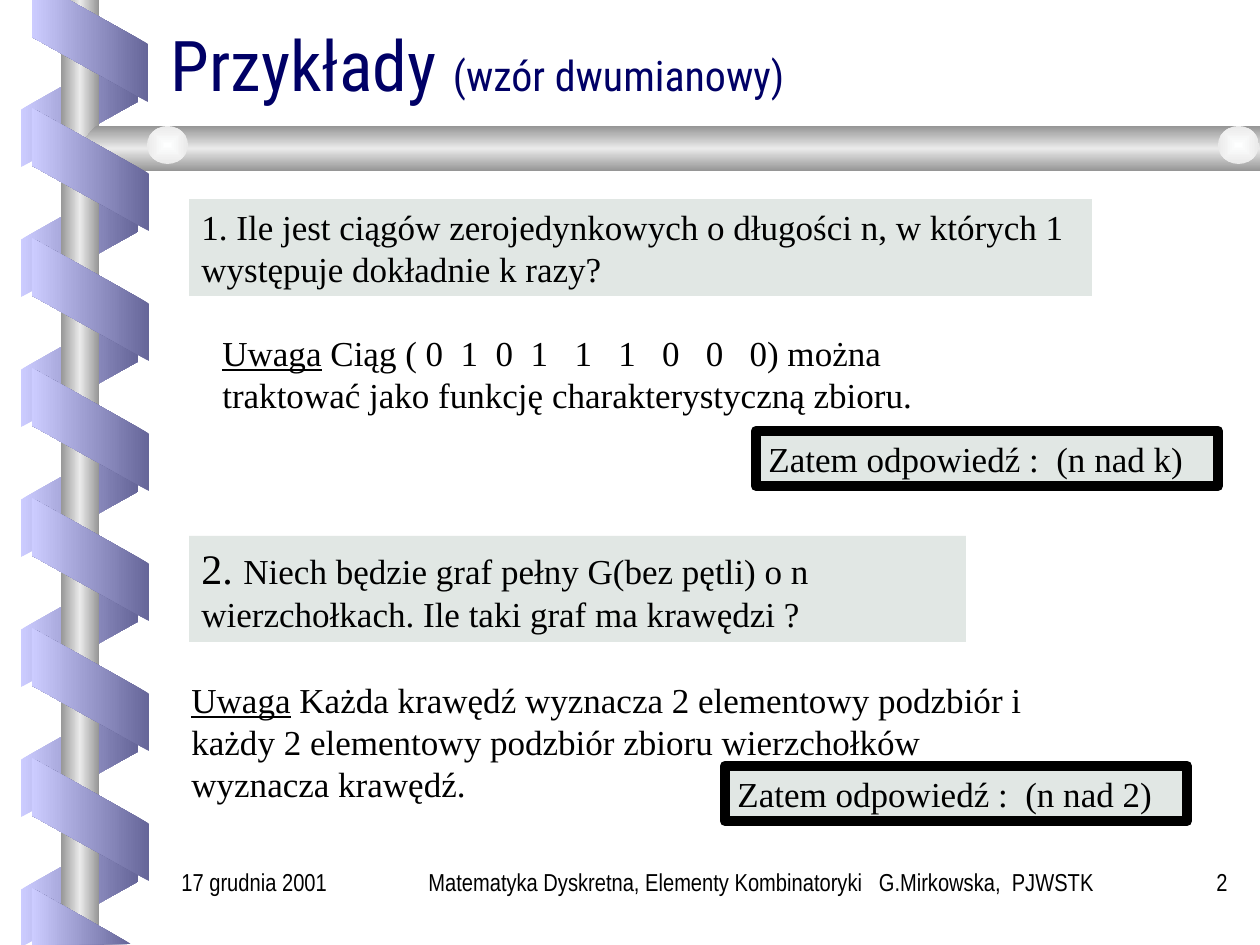
from dataclasses import dataclass

from pptx import Presentation
from pptx.dml.color import RGBColor
from pptx.enum import shapes, text
from pptx.oxml import parse_xml
from pptx.oxml.ns import nsdecls, qn
from pptx.util import Pt

PX = 914400 / 126  # EMU per px


@dataclass(frozen=True)
class Theme:
    title_font: str = "Roboto Condensed"
    body_font: str = "Times New Roman"
    footer_font: str = "Arial Narrow"
    navy: str = "000066"
    black: str = "000000"
    panel: str = "E1E7E4"
    ribbon: tuple = ("666699", "CCCCFF")
    steel: tuple = ("969696", "EAEAEA", "969696")
    pearl: tuple = ("FEFFFF", "EAEAEA")
    title: int = 40
    large: int = 24
    body: int = 20
    footer: int = 14
    frame: int = 6


T = Theme()


def px(*values):
    return [round(v * PX) for v in values]


def rgb(value):
    return RGBColor.from_string(value)


# Fills and decoration
def gradient(s, colors, angle=None):
    """Linear gradient at an angle in degrees, or one from the centre out."""
    last = len(colors) - 1
    stops = "".join(
        f'<a:gs pos="{100000 * i // last}"><a:srgbClr val="{c}"/></a:gs>'
        for i, c in enumerate(colors))
    if angle is None:
        way = ('<a:path path="rect"><a:fillToRect l="50000" t="50000" '
               'r="50000" b="50000"/></a:path>')
    else:
        way = f'<a:lin ang="{angle * 60000}" scaled="0"/>'
    s.shadow.inherit = False
    s.line.fill.background()
    s.fill.solid()
    sp_pr = s._element.spPr
    sp_pr.replace(sp_pr.find(qn("a:solidFill")), parse_xml(
        f'<a:gradFill rotWithShape="0" {nsdecls("a")}>'
        f'<a:gsLst>{stops}</a:gsLst>{way}</a:gradFill>'))


def preset(parent, kind, box, colors, angle=None):
    s = parent.shapes.add_shape(kind, *px(*box))
    gradient(s, colors, angle)
    return s


def outline(parent, points, colors, angle):
    builder = parent.shapes.build_freeform(*points[0], scale=PX)
    builder.add_line_segments(points[1:], close=True)
    gradient(builder.convert_to_shape(), colors, angle)


def ribbons(parent, left, top, count, rotation, colors, flip=False):
    for i in range(count):
        s = preset(parent, shapes.MSO_SHAPE.PARALLELOGRAM,
                   (left, top + 130 * i, 123, 117), colors, 180)
        s.adjustments[0] = 0.56
        s.rotation = rotation
        if flip:
            s._element.spPr.xfrm.set("flipH", "1")


def decoration(slide):
    # Ribbon turns behind the pole
    back = slide.shapes.add_group_shape()
    ribbons(back, 18, 47, 7, 90, T.ribbon[::-1], flip=True)

    # Pole, rail and its two knobs
    preset(slide, shapes.MSO_SHAPE.RECTANGLE, (61, 0, 38, 945), T.steel, 180)
    outline(slide, [(1260, 126), (96, 126), (76, 149), (96, 171), (1260, 171)],
            T.steel, 90)
    for left in (147, 1218):
        preset(slide, shapes.MSO_SHAPE.OVAL, (left, 126, 41, 38), T.pearl)

    # Ribbon turns in front, cut off at the slide's top and bottom
    front = slide.shapes.add_group_shape()
    ribbons(front, 29, 111, 6, 270, T.ribbon)
    outline(front, [(32, 0), (32, 37), (148, 102), (148, 44), (69, 0)],
            T.ribbon, 180)
    outline(front, [(131, 944), (32, 888), (32, 945)], T.ribbon, 180)


# Text
def add_run(p, words, size, font, color, underline=None):
    r = p.add_run()
    r.text = words
    r.font.size = Pt(size)
    r.font.name = font
    r.font.color.rgb = rgb(color)
    r.font.underline = underline


def add_title(slide, main, detail):
    s = slide.shapes.title
    s.left, s.top, s.width, s.height = px(158, 32, 1071, 79)
    tf = s.text_frame
    tf.auto_size = text.MSO_AUTO_SIZE.NONE
    tf.vertical_anchor = text.MSO_ANCHOR.BOTTOM
    p = tf.paragraphs[0]
    p.alignment = text.PP_ALIGN.LEFT
    p.line_spacing = 0.8
    add_run(p, main, T.title, T.title_font, T.navy)
    add_run(p, detail, T.large, T.title_font, T.navy)


def fill_text(s, align=text.PP_ALIGN.LEFT, fit=True):
    tf = s.text_frame
    tf.word_wrap = True
    tf.vertical_anchor = text.MSO_ANCHOR.TOP
    if fit:
        tf.auto_size = text.MSO_AUTO_SIZE.SHAPE_TO_FIT_TEXT
    p = tf.paragraphs[0]
    p.alignment = align
    return p


def panel(slide, box, runs, framed=False):
    s = slide.shapes.add_shape(shapes.MSO_SHAPE.RECTANGLE, *px(*box))
    s.shadow.inherit = False
    s.fill.solid()
    s.fill.fore_color.rgb = rgb(T.panel)
    if framed:
        s.line.color.rgb = rgb(T.black)
        s.line.width = Pt(T.frame)
    else:
        s.line.fill.background()
    p = fill_text(s)
    for words, size in runs:
        add_run(p, words, size, T.body_font, T.black)


def answer(slide, left, top, words):
    panel(slide, (left, top, 462, 55), [(words, T.body)], framed=True)


def remark(slide, box, words):
    p = fill_text(slide.shapes.add_textbox(*px(*box)))
    add_run(p, "Uwaga", T.body, T.body_font, T.black, underline=True)
    add_run(p, words, T.body, T.body_font, T.black)


def footer(slide, left, width, words, align):
    s = slide.shapes.add_textbox(*px(left, 861, width, 63))
    p = fill_text(s, align, fit=False)
    add_run(p, words, T.footer, T.footer_font, T.black)


def main():
    prs = Presentation()
    prs.slide_width, prs.slide_height = px(1260, 945)
    slide = prs.slides.add_slide(prs.slide_layouts[5])
    decoration(slide)
    add_title(slide, "Przykłady ", "(wzór dwumianowy)")

    # First example
    panel(slide, (189, 199, 903, 97), [
        ("1. Ile jest ciągów zerojedynkowych o długości n, w których 1 "
         "występuje dokładnie k razy?", T.body)])
    remark(slide, (210, 325, 809, 97),
           " Ciąg ( 0  1  0  1   1   1   0   0   0) można traktować jako "
           "funkcję charakterystyczną zbioru.")
    answer(slide, 756, 431, "Zatem odpowiedź :  (n nad k)")

    # Second example
    panel(slide, (189, 536, 777, 106), [
        ("2. ", T.large),
        ("Niech będzie graf pełny G(bez pętli) o n wierzchołkach. "
         "Ile taki graf ma krawędzi ?", T.body)])
    remark(slide, (179, 672, 861, 139),
           " Każda krawędź wyznacza 2 elementowy podzbiór i każdy 2 "
           "elementowy podzbiór zbioru wierzchołków wyznacza krawędź.")
    answer(slide, 725, 766, "Zatem odpowiedź :  (n nad 2)")

    # Footer
    footer(slide, 399, 725, "Matematyka Dyskretna, Elementy Kombinatoryki   "
           "G.Mirkowska,  PJWSTK", text.PP_ALIGN.CENTER)
    footer(slide, 1134, 106, "2", text.PP_ALIGN.RIGHT)
    footer(slide, 169, 219, "17 grudnia 2001", text.PP_ALIGN.LEFT)

    prs.save("out.pptx")


if __name__ == "__main__":
    main()
